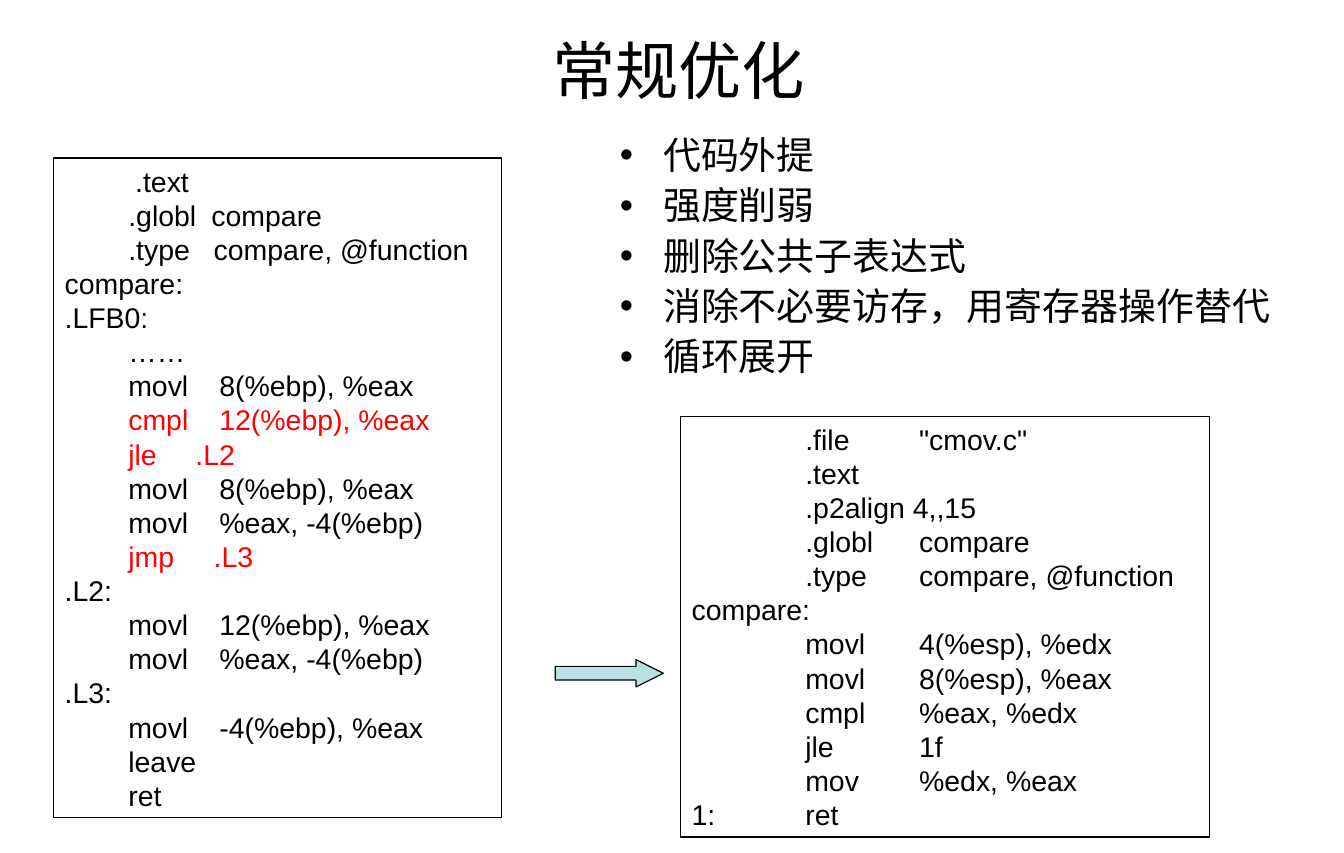
"""Build the slide on common optimizations with two assembly listings."""
import pptx
import pptx.util
import pptx.dml.color
import pptx.enum.shapes
import pptx.enum.text
import pptx.oxml.ns
import lxml.etree

Inches = pptx.util.Inches
Pt = pptx.util.Pt
RGBColor = pptx.dml.color.RGBColor
Align = pptx.enum.text.PP_ALIGN
Anchor = pptx.enum.text.MSO_ANCHOR
Shape = pptx.enum.shapes.MSO_SHAPE
qn = pptx.oxml.ns.qn

BLACK = RGBColor(0, 0, 0)
RED = RGBColor(255, 0, 0)
TEAL = RGBColor(0xBB, 0xE0, 0xE3)


def write(frame, text, size=18, color=BLACK, align=Align.LEFT, stops=(), bullet=False):
    para = frame.paragraphs[0]
    if para.runs:
        para = frame.add_paragraph()
    para.alignment = align
    run = para.add_run()
    run.text = text
    run.font.name = "Arial"
    run.font.size = Pt(size)
    run.font.color.rgb = color
    props = para._p.get_or_add_pPr()
    if bullet:
        para.line_spacing = 0.9
        para.space_before = Pt(6)
        props.set("marL", str(Inches(0.38)))
        props.set("indent", str(-Inches(0.38)))
        lxml.etree.SubElement(props, qn("a:buFont"), typeface="Arial")
        lxml.etree.SubElement(props, qn("a:buChar"), char="•")
    if stops:
        tabs = lxml.etree.SubElement(props, qn("a:tabLst"))
        for stop in stops:
            lxml.etree.SubElement(tabs, qn("a:tab"), pos=str(Inches(stop)), algn="l")


def place(left, top, width, height, border=True):
    box = slide.shapes.add_textbox(Inches(left), Inches(top), Inches(width), Inches(height))
    box.text_frame.word_wrap = True
    if border:
        box.line.color.rgb = BLACK
        box.line.width = Pt(0.75)
    return box.text_frame


deck = pptx.Presentation()
deck.slide_width = Inches(11 + 13 / 16)
deck.slide_height = Inches(7.5)
slide = deck.slides.add_slide(deck.slide_layouts[5])

title = slide.shapes.title
title.left, title.top = Inches(0.59), Inches(0.3)
title.width, title.height = Inches(10.75), Inches(0.61)
title.text_frame.auto_size = pptx.enum.text.MSO_AUTO_SIZE.NONE
title.text_frame.vertical_anchor = Anchor.MIDDLE
write(title.text_frame, "常规优化", size=40, align=Align.CENTER)

points = place(5.35, 1.15, 6.22, 2.28, border=False)
for point in ("代码外提", "强度削弱", "删除公共子表达式",
              "消除不必要访存，用寄存器操作替代", "循环展开"):
    write(points, point, size=24, bullet=True)

after = place(5.98, 3.66, 4.65, 3.7)
for line in (
    '\t.file\t"cmov.c"',
    "\t.text",
    "\t.p2align 4,,15",
    "\t.globl\tcompare",
    "\t.type\tcompare, @function",
    "compare:",
    "\tmovl\t4(%esp), %edx",
    "\tmovl\t8(%esp), %eax",
    "\tcmpl\t%eax, %edx",
    "\tjle\t1f",
    "\tmov\t%edx, %eax",
    "1:\tret",
):
    write(after, line, stops=(1, 2))

before = place(0.47, 1.39, 3.94, 5.8)
starts = {".text": 0.62}
gaps = {".globl": 1.29, ".type": 1.31, "jle": 1.15, "jmp": 1.31}
for line in (
    "\t.text",
    "\t.globl\tcompare",
    "\t.type\tcompare, @function",
    "compare:",
    ".LFB0:",
    "\t……",
    "\tmovl\t8(%ebp), %eax",
    "\tcmpl\t12(%ebp), %eax",
    "\tjle\t.L2",
    "\tmovl\t8(%ebp), %eax",
    "\tmovl\t%eax, -4(%ebp)",
    "\tjmp\t.L3",
    ".L2:",
    "\tmovl\t12(%ebp), %eax",
    "\tmovl\t%eax, -4(%ebp)",
    ".L3:",
    "\tmovl\t-4(%ebp), %eax",
    "\tleave",
    "\tret",
):
    code = line.split()[0]
    color = RED if code in ("cmpl", "jle", "jmp") else BLACK
    write(before, line, color=color, stops=(starts.get(code, 0.56), gaps.get(code, 1.36)))

arrow = slide.shapes.add_shape(
    Shape.RIGHT_ARROW, Inches(4.88), Inches(5.8), Inches(0.95), Inches(0.24))
arrow.adjustments[0] = 0.5
arrow.adjustments[1] = 1
arrow.shadow.inherit = False
arrow.fill.solid()
arrow.fill.fore_color.rgb = TEAL
arrow.line.color.rgb = BLACK
arrow.line.width = Pt(0.75)

deck.save("out.pptx")
